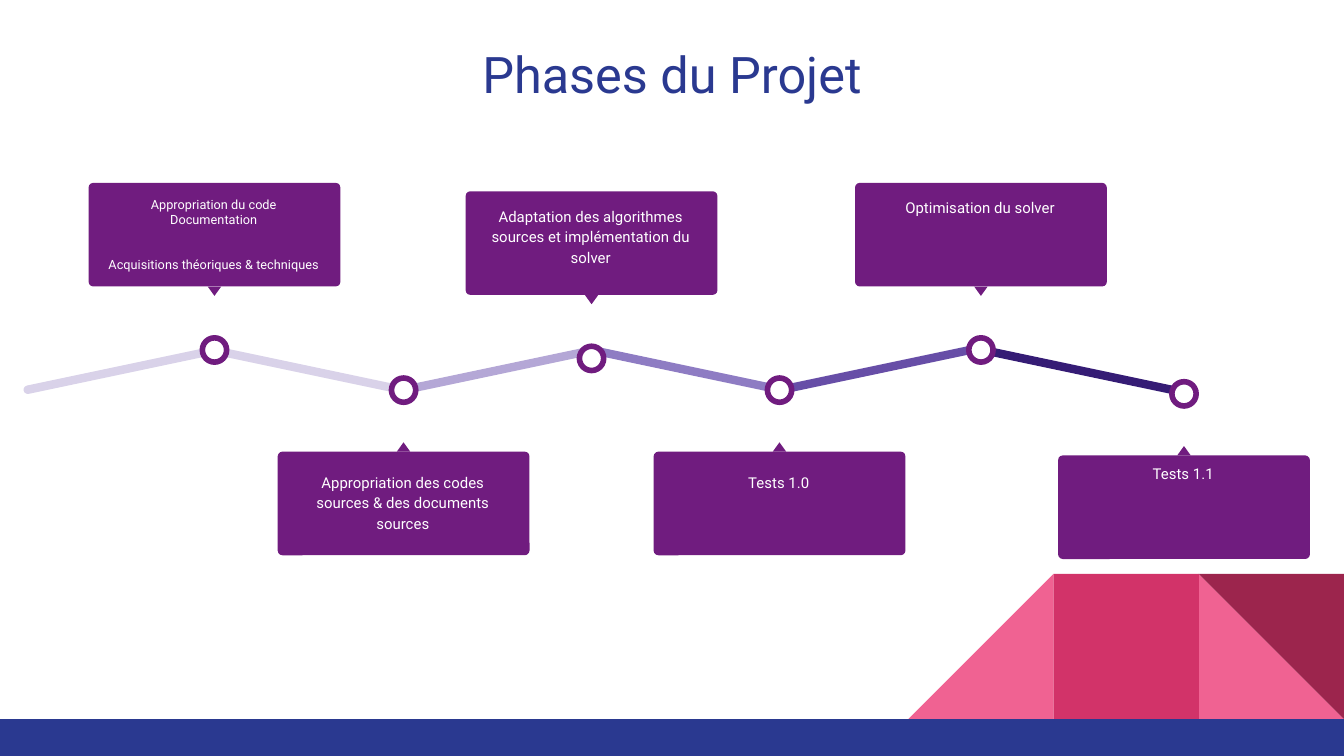
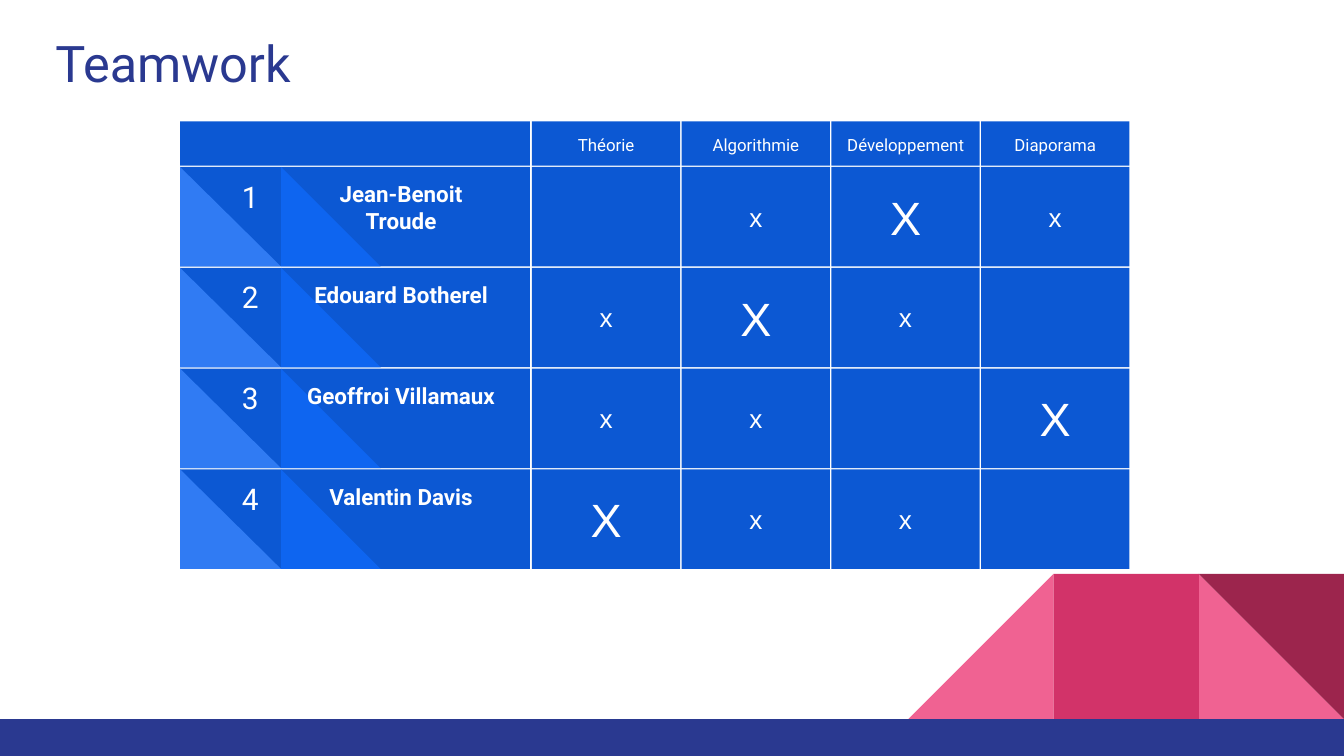
from pptx import Presentation
from pptx.dml.color import RGBColor
from pptx.enum.shapes import MSO_SHAPE as Shape
from pptx.enum.text import MSO_ANCHOR as Anchor, MSO_AUTO_SIZE as AutoSize, PP_ALIGN as Align
from pptx.util import Pt

COLORS = {
    "navy": "2A3990", "white": "FFFFFF", "purple": "701C7F",
    "pink": "F06292", "rose": "D23369", "wine": "9C254D",
    "cell": "0C58D3", "blue": "0E65F0", "light_blue": "307BF3",
}


def add_block(shapes, kind, left, top, width, height, color, rotation=0):
    shape = shapes.add_shape(kind, Pt(left), Pt(top), Pt(width), Pt(height))
    shape.shadow.inherit = False
    shape.fill.solid()
    shape.fill.fore_color.rgb = RGBColor.from_string(color)
    shape.line.fill.background()
    shape.rotation = rotation
    return shape


def write(shape, text, size, color="white", font="Roboto", align=Align.CENTER,
          anchor=Anchor.TOP, bold=False, line_spacing=1.0):
    frame = shape.text_frame
    frame.text = text
    frame.word_wrap = True
    frame.auto_size = AutoSize.NONE
    frame.vertical_anchor = anchor
    frame.margin_left = frame.margin_right = frame.margin_top = frame.margin_bottom = Pt(7.2)
    for paragraph in frame.paragraphs:
        paragraph.alignment = align
        paragraph.line_spacing = line_spacing
        for run in paragraph.runs:
            run.font.name = font
            run.font.size = Pt(size)
            run.font.bold = bold
            run.font.color.rgb = RGBColor.from_string(COLORS[color])


presentation = Presentation()
presentation.slide_width, presentation.slide_height = Pt(720), Pt(405)
layout = presentation.slide_layouts[5]

# Slides and titles
slides = []
for title_text, left, top, align in [
    ("Phases du Projet", 24.5, 15.8, Align.CENTER),
    ("Teamwork", 22.5, 10, Align.LEFT),
]:
    slide = presentation.slides.add_slide(layout)
    title = slide.shapes.title
    title.left, title.top, title.width, title.height = Pt(left), Pt(top), Pt(671), Pt(47.5)
    write(title, title_text, 27, "navy", align=align)
    slides.append(slide)
phases_slide, team_slide = slides

# Shared corner and bottom band, moved to the layout
CORNER = 77.8
corner_top = 385.2 - CORNER
decorations = []
for kind, column, color, rotation in [
    (Shape.RIGHT_TRIANGLE, 1, "pink", 0),
    (Shape.RIGHT_TRIANGLE, 3, "pink", 0),
    (Shape.RECTANGLE, 2, "rose", 0),
    (Shape.RIGHT_TRIANGLE, 1, "wine", 180),
]:
    decorations.append(add_block(phases_slide.shapes, kind, 720 - column * CORNER, corner_top,
                                 CORNER, CORNER, COLORS[color], rotation))
decorations[1].element.xpath(".//a:xfrm")[0].set("flipH", "1")
decorations.append(add_block(phases_slide.shapes, Shape.RECTANGLE, 0, 385.2, 720, 19.8, COLORS["navy"]))
for number, shape in enumerate(decorations, 101):
    shape.element.xpath(".//p:cNvPr")[0].set("id", str(number))
    layout.shapes.element.append(shape.element)

# Phases: zigzag line, drawn from right to left
segments = [(11.5, "D9D2E9"), (111.6, "D9D2E9"), (213.8, "B4A7D6"),
            (314.6, "8E7CC3"), (415.4, "674EA7"), (524.2, "351C75")]
for index, (left, color) in reversed(list(enumerate(segments))):
    angle = 11.9 if index % 2 else 348.1
    segment = add_block(phases_slide.shapes, Shape.ROUNDED_RECTANGLE, left, 196, 106.6, 4.5, color, angle)
    segment.adjustments[0] = 0.5

# Phases: callouts, in turn above and below the line
BOX_WIDTH, BOX_HEIGHT, DOT = 134.9, 55.5, 13
phases = [  # centre, box top, text offset, text
    (114.9, 98, 0, "Appropriation du code Documentation\nAcquisitions théoriques & techniques"),
    (216.2, 242, 3, "Appropriation des codes sources & des documents sources"),
    (316.9, 102.5, 0, "Adaptation des algorithmes sources et implémentation du solver"),
    (417.6, 242, 3, "Tests 1.0"),
    (525.5, 98, 0, "Optimisation du solver"),
    (634.3, 244, -4, "Tests 1.1"),
]
for index, (center, top, text_offset, text) in enumerate(phases):
    below = index % 2 == 1
    shapes = phases_slide.shapes.add_group_shape().shapes
    box = add_block(shapes, Shape.ROUNDED_RECTANGLE, center - BOX_WIDTH / 2, top,
                    BOX_WIDTH, BOX_HEIGHT, COLORS["purple"])
    box.adjustments[0] = 0.045
    add_block(shapes, Shape.ISOSCELES_TRIANGLE, center - 3.6, top - 5 if below else top + BOX_HEIGHT,
              7.2, 5, COLORS["purple"], 0 if below else 180)
    dot_center = top - 33 if below else top + 89.5
    dot = add_block(shapes, Shape.OVAL, center - DOT / 2, dot_center - DOT / 2, DOT, DOT, COLORS["white"])
    dot.line.color.rgb = RGBColor.from_string(COLORS["purple"])
    dot.line.width = Pt(3)
    label = shapes.add_textbox(Pt(center - 64.5), Pt(top + text_offset), Pt(128.2),
                               Pt(49 if below else BOX_HEIGHT))
    if index == 0:
        write(label, text, 6.8)
        label.text_frame.paragraphs[1].space_before = Pt(16)
    else:
        write(label, text, 8, line_spacing=1.15)
    label.text_frame.paragraphs[-1].space_after = Pt(16)

# Team: header row
NAME_LEFT, NAME_WIDTH = 96.5, 187.4
COLUMN_LEFT, COLUMN_PITCH, COLUMN_WIDTH = 285, 80.2, 79.4
ROW_TOP, ROW_PITCH, ROW_HEIGHT = 89.5, 54, 53.3
shapes = team_slide.shapes
add_block(shapes, Shape.RECTANGLE, NAME_LEFT, 65, NAME_WIDTH, 23.8, COLORS["cell"])
for column, heading in enumerate(["Théorie", "Algorithmie", "Développement", "Diaporama"]):
    cell = add_block(shapes, Shape.RECTANGLE, COLUMN_LEFT + column * COLUMN_PITCH, 65,
                     COLUMN_WIDTH, 23.8, COLORS["cell"])
    write(cell, heading, 9, anchor=Anchor.MIDDLE, line_spacing=1.15)

# Team: one row per member, a large X for the main role
members = [("Jean-Benoit Troude", " xXx"), ("Edouard Botherel", "xXx "),
           ("Geoffroi Villamaux", "xx X"), ("Valentin Davis", "Xxx ")]
for row, (name, marks) in enumerate(members):
    top = ROW_TOP + row * ROW_PITCH
    group_shapes = shapes.add_group_shape().shapes
    for kind, left, width, color in [
        (Shape.RECTANGLE, NAME_LEFT, NAME_WIDTH, "cell"),
        (Shape.RIGHT_TRIANGLE, 150.6, 53.3, "blue"),
        (Shape.RIGHT_TRIANGLE, NAME_LEFT, 54, "light_blue"),
    ]:
        add_block(group_shapes, kind, left, top, width, ROW_HEIGHT, COLORS[color])
    number_box = group_shapes.add_textbox(Pt(117.2), Pt(top), Pt(33.8), Pt(32.4))
    write(number_box, str(row + 1), 16, anchor=Anchor.BOTTOM)
    name_box = group_shapes.add_textbox(Pt(156.2), Pt(top), Pt(117.4), Pt(ROW_HEIGHT))
    write(name_box, name, 12, bold=True)
    for column, mark in enumerate(marks):
        cell = add_block(shapes, Shape.RECTANGLE, COLUMN_LEFT + column * COLUMN_PITCH, top,
                         COLUMN_WIDTH, ROW_HEIGHT, COLORS["cell"])
        if mark != " ":
            write(cell, mark, 25 if mark == "X" else 14, font="Arial", anchor=Anchor.MIDDLE)

presentation.save("out.pptx")
